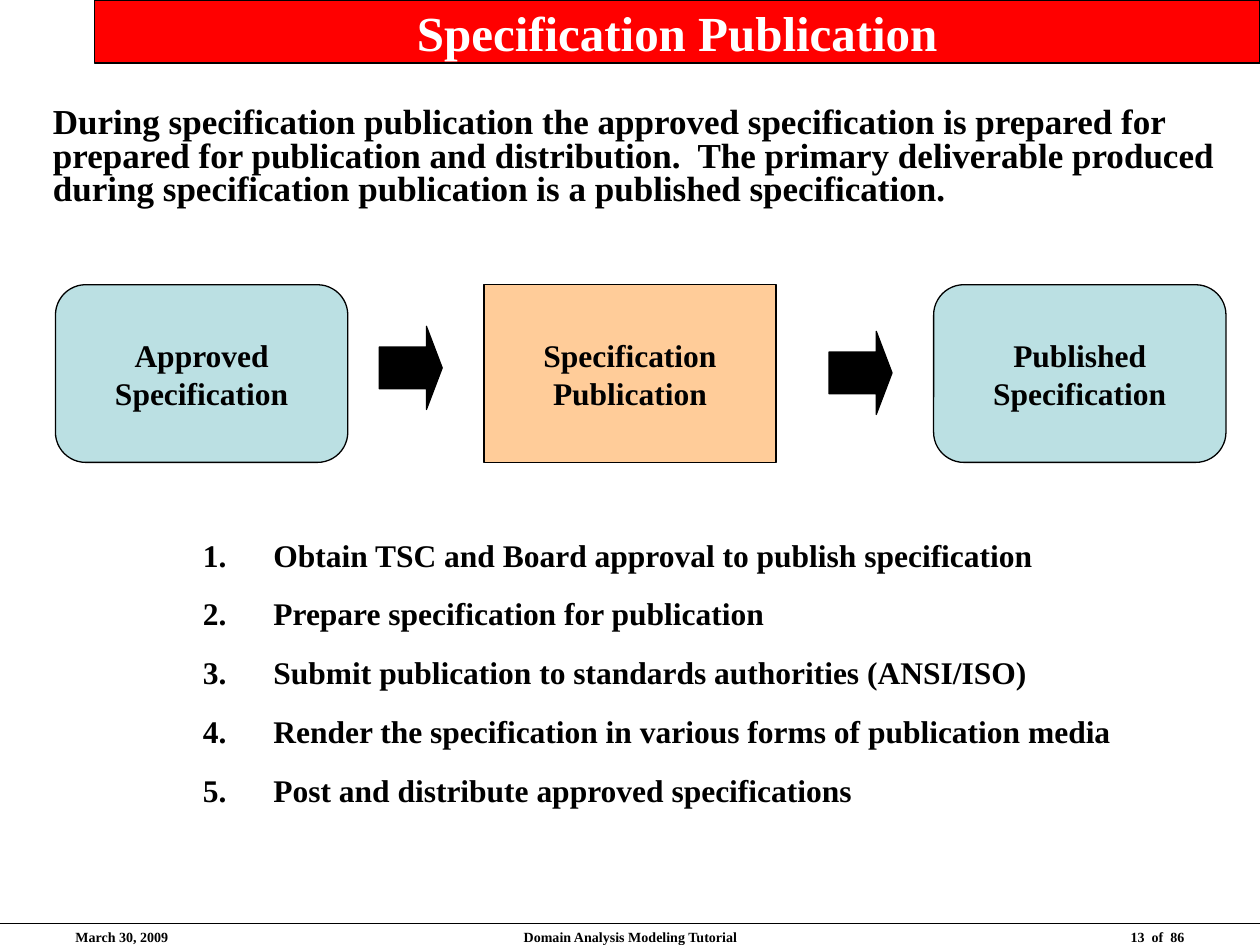
from dataclasses import dataclass

import pptx
import pptx.dml.color
import pptx.enum.shapes
import pptx.enum.text
import pptx.oxml.xmlchemy
import pptx.util

SHAPES = pptx.enum.shapes.MSO_SHAPE
ALIGN = pptx.enum.text.PP_ALIGN
ANCHOR = pptx.enum.text.MSO_ANCHOR
COLUMNS, ROWS = 100, 75
FONT = "Times New Roman"
BLACK, WHITE, RED, TEAL, PEACH = "000000", "FFFFFF", "FF0000", "BBE0E3", "FFCC99"

presentation = pptx.Presentation()
presentation.slide_width = pptx.util.Inches(10)
presentation.slide_height = pptx.util.Inches(7.5)
slide = presentation.slides.add_slide(presentation.slide_layouts[3])


@dataclass(frozen=True)
class Area:
    column: float
    row: float
    columns: float
    rows: float

    def lengths(self) -> tuple:
        unit_x = presentation.slide_width / COLUMNS
        unit_y = presentation.slide_height / ROWS
        return (round(self.column * unit_x), round(self.row * unit_y),
                round(self.columns * unit_x), round(self.rows * unit_y))


@dataclass(frozen=True)
class Stage:
    lines: tuple
    column: float
    outline: int
    fill: str


@dataclass(frozen=True)
class Footer:
    text: str
    column: float
    columns: float
    align: int


def color(value: str):
    return pptx.dml.color.RGBColor.from_string(value)


def set_values(target, values: dict) -> None:
    for name, value in values.items():
        setattr(target, name, value)


def paint(shape, fill: str) -> None:
    shape.fill.solid()
    shape.fill.fore_color.rgb = color(fill)
    shape.line.color.rgb = color(BLACK)
    shape.line.width = pptx.util.Pt(0.75)


def add_bullet(paragraph, tag: str, indent: float = 0, **attributes) -> None:
    properties = paragraph._p.get_or_add_pPr()
    margin = pptx.util.Inches(indent)
    properties.set("marL", str(margin))
    properties.set("indent", str(-margin))
    bullet = pptx.oxml.xmlchemy.OxmlElement(tag)
    for name, value in attributes.items():
        bullet.set(name, value)
    properties.append(bullet)


def write(shape, lines: tuple, size: float, frame: dict, paragraph_format: dict,
          text_color: str = BLACK) -> list:
    text_frame = shape.text_frame
    set_values(text_frame, {"word_wrap": True,
                            "auto_size": pptx.enum.text.MSO_AUTO_SIZE.NONE, **frame})
    text_frame.text = "\n".join(lines)
    for index, paragraph in enumerate(text_frame.paragraphs):
        set_values(paragraph, {"space_before": pptx.util.Pt(0), **paragraph_format})
        if index == 0:
            paragraph.space_before = pptx.util.Pt(0)
        for run in paragraph.runs:
            set_values(run.font, {"name": FONT, "size": pptx.util.Pt(size), "bold": True})
            run.font.color.rgb = color(text_color)
    return list(text_frame.paragraphs)


def place(shape, area: Area) -> None:
    set_values(shape, dict(zip(("left", "top", "width", "height"), area.lengths())))


def add_preset(outline: int, area: Area, fill: str, adjustments: tuple):
    shape = slide.shapes.add_shape(outline, *area.lengths())
    shape.shadow.inherit = False
    paint(shape, fill)
    for index, value in enumerate(adjustments):
        shape.adjustments[index] = value
    return shape


def add_stage(stage: Stage) -> None:
    rounded = stage.outline == SHAPES.ROUNDED_RECTANGLE
    shape = add_preset(stage.outline, Area(stage.column, 22.6, 23.2, 14.1), stage.fill,
                       (0.17,) if rounded else ())
    write(shape, stage.lines, 18, {"vertical_anchor": ANCHOR.MIDDLE},
          {"alignment": ALIGN.CENTER})


def add_footer(footer: Footer) -> None:
    box = slide.shapes.add_textbox(*Area(footer.column, 73.2, footer.columns, 1.7).lengths())
    write(box, (footer.text,), 8, {}, {"alignment": footer.align})


def add_rule(row: float) -> None:
    left, top, width, _ = Area(0, row, COLUMNS, 0).lengths()
    rule = slide.shapes.add_connector(pptx.enum.shapes.MSO_CONNECTOR.STRAIGHT,
                                      left, top, left + width, top)
    rule.line.color.rgb = color(BLACK)
    rule.line.width = pptx.util.Pt(0.75)
    rule._element.spPr.append(pptx.oxml.xmlchemy.OxmlElement("a:effectLst"))


STAGES = (
    Stage(("Approved", "Specification"), 4.4, SHAPES.ROUNDED_RECTANGLE, TEAL),
    Stage(("Specification", "Publication"), 38.4, SHAPES.RECTANGLE, PEACH),
    Stage(("Published", "Specification"), 74.1, SHAPES.ROUNDED_RECTANGLE, TEAL),
)
ARROWS = (Area(30.1, 25.9, 5, 6.6), Area(65.8, 26.3, 5, 6.6))
FOOTERS = (
    Footer("March 30, 2009", 5, 23.3, ALIGN.LEFT),
    Footer("Domain Analysis Modeling Tutorial", 34.2, 31.7, ALIGN.CENTER),
    Footer("13  of  86", 71.7, 23.3, ALIGN.RIGHT),
)
SUMMARY = ("During specification publication the approved specification is prepared for "
           "prepared for publication and distribution.  The primary deliverable produced "
           "during specification publication is a published specification.")
STEPS = (
    "Obtain TSC and Board approval to publish specification",
    "Prepare specification for publication",
    "Submit publication to standards authorities (ANSI/ISO)",
    "Render the specification in various forms of publication media",
    "Post and distribute approved specifications",
)

title, summary, steps = slide.placeholders

place(title, Area(7.5, 0, 92.5, 5))
paint(title, RED)
write(title, ("Specification Publication",), 28, {"vertical_anchor": ANCHOR.MIDDLE},
      {"alignment": ALIGN.CENTER}, WHITE)

place(summary, Area(2.5, 7.5, 95.6, 10.1))
for paragraph in write(summary, (SUMMARY,), 20,
                       {"vertical_anchor": ANCHOR.MIDDLE,
                        "margin_left": pptx.util.Inches(0.17)},
                       {"line_spacing": 0.8}):
    add_bullet(paragraph, "a:buNone")

place(steps, Area(15.1, 42, 74.1, 22.3))
for paragraph in write(steps, STEPS, 18, {"vertical_anchor": ANCHOR.TOP},
                       {"space_before": pptx.util.Pt(12)}):
    add_bullet(paragraph, "a:buAutoNum", 0.56, type="arabicPeriod")

for stage in STAGES:
    add_stage(stage)
for arrow in ARROWS:
    add_preset(SHAPES.RIGHT_ARROW, arrow, BLACK, (0.5, 0.25))

add_rule(73.3)
for footer in FOOTERS:
    add_footer(footer)

presentation.save("out.pptx")
